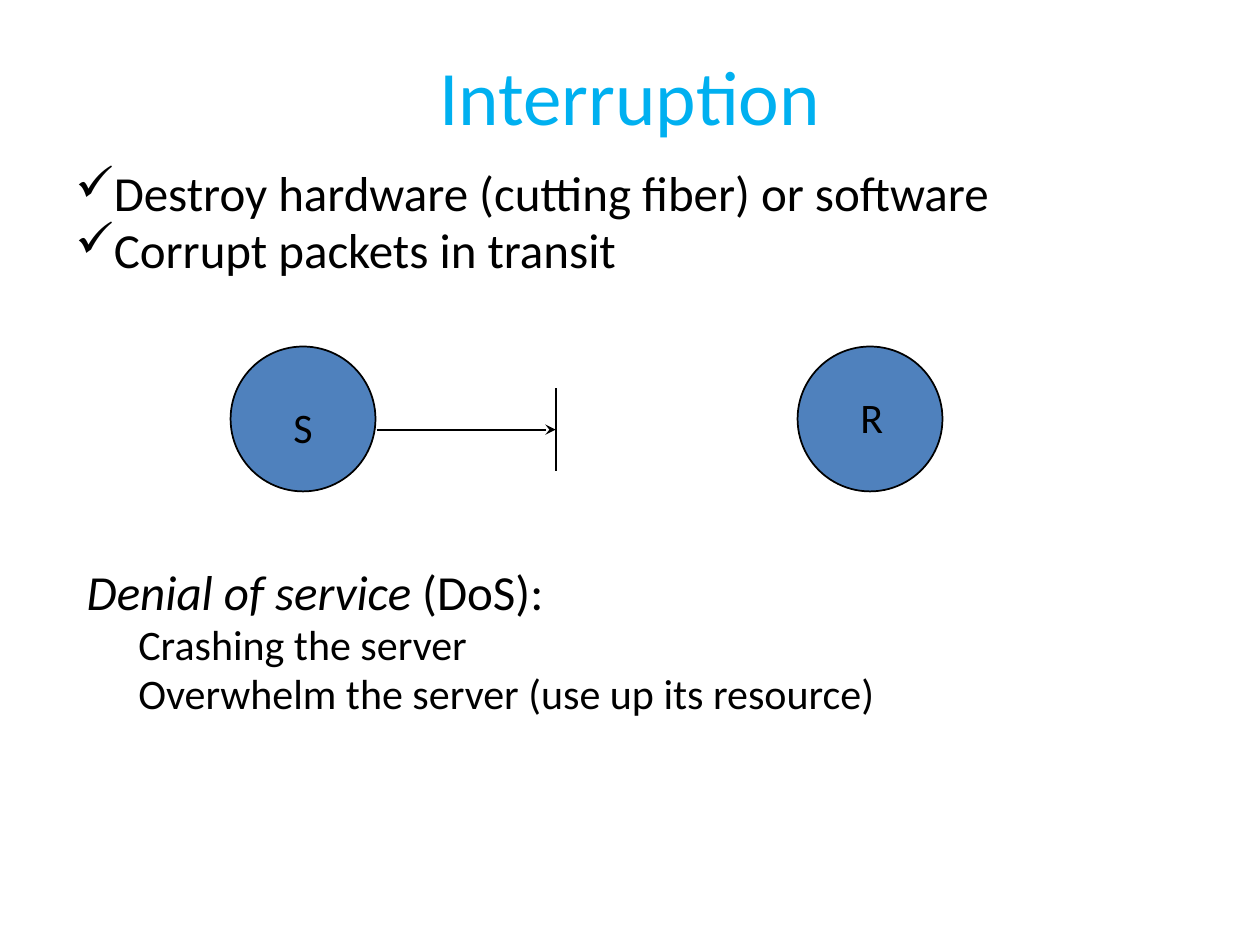
from dataclasses import dataclass

from lxml.etree import SubElement
from pptx import Presentation
from pptx.dml.color import RGBColor
from pptx.enum.shapes import MSO_CONNECTOR, MSO_SHAPE
from pptx.enum.text import MSO_ANCHOR, PP_ALIGN
from pptx.oxml.ns import qn
from pptx.util import Inches, Pt

WIDTH, HEIGHT = 10, 7.5
COLORS = {"title": "00B0F0", "ink": "000000", "node": "4F81BD"}
FONT = "Calibri"
NODE_SIZE = 1.15 / WIDTH
NODE_TOP = 2.75 / HEIGHT


@dataclass(frozen=True)
class Box:
    """A rectangle given as shares of the slide's width and height."""
    left: float
    top: float
    width: float
    height: float

    def emu(self) -> tuple:
        return (Inches(self.left * WIDTH), Inches(self.top * HEIGHT),
                Inches(self.width * WIDTH), Inches(self.height * HEIGHT))


@dataclass(frozen=True)
class Node:
    left: float
    label: str
    label_box: Box


@dataclass(frozen=True)
class Line:
    start: tuple[float, float]
    end: tuple[float, float]
    arrow: bool = False


@dataclass(frozen=True)
class Entry:
    """A paragraph whose runs are (text, italic) pairs; margin is in inches."""
    runs: tuple[tuple[str, bool], ...]
    size: int = 28
    margin: float = 0
    bullet: str = ""


TITLE_BOX = Box(0.075, 0.25 / HEIGHT, 0.85, 1 / HEIGHT)
METHODS_BOX = Box(0.05, 1.33 / HEIGHT, 0.883, 1.1 / HEIGHT)
DENIAL_BOX = Box(0.05, 4.5 / HEIGHT, 0.883, 1.5 / HEIGHT)

METHODS = [
    Entry(((text, False),), margin=0.3, bullet="✓")
    for text in ("Destroy hardware (cutting fiber) or software",
                 "Corrupt packets in transit")
]
DENIAL = [
    Entry((("Denial of service", True), (" (DoS):", False)), margin=0.09),
    Entry((("Crashing the server", False),), size=24, margin=0.5),
    Entry((("Overwhelm the server (use up its resource)", False),), size=24, margin=0.5),
]
NODES = [
    Node(0.183, "S", Box(0.223, 3.14 / HEIGHT, 0.039, 0.5 / HEIGHT)),
    Node(0.633, "R", Box(0.673, 3.06 / HEIGHT, 0.042, 0.5 / HEIGHT)),
]
LINES = [
    Line((0.299, 3.41 / HEIGHT), (0.441, 3.41 / HEIGHT), arrow=True),
    Line((0.441, 3.08 / HEIGHT), (0.441, 3.74 / HEIGHT)),
]


def rgb(name: str) -> RGBColor:
    return RGBColor.from_string(COLORS[name])


def add_run(paragraph, text: str, size: int, color: str = "ink", italic: bool = False) -> None:
    run = paragraph.add_run()
    run.text = text
    for name, value in {"name": FONT, "size": Pt(size), "italic": italic}.items():
        setattr(run.font, name, value)
    run.font.color.rgb = rgb(color)


def add_text_box(slide, box: Box, wrap: bool = True):
    shape = slide.shapes.add_textbox(*box.emu())
    shape.text_frame.word_wrap = wrap
    return shape


def add_title(slide, text: str) -> None:
    frame = add_text_box(slide, TITLE_BOX).text_frame
    frame.vertical_anchor = MSO_ANCHOR.MIDDLE
    paragraph = frame.paragraphs[0]
    paragraph.alignment = PP_ALIGN.CENTER
    add_run(paragraph, text, 44, "title")


def add_entries(slide, box: Box, entries: list[Entry]) -> None:
    frame = add_text_box(slide, box).text_frame
    for index, entry in enumerate(entries):
        paragraph = frame.add_paragraph() if index else frame.paragraphs[0]
        paragraph.line_spacing = 0.8
        paragraph.space_before = Pt(0.2 * entry.size)
        properties = paragraph._p.get_or_add_pPr()
        properties.set("marL", str(Inches(entry.margin)))
        if entry.bullet:
            properties.set("indent", str(-Inches(entry.margin)))
            SubElement(properties, qn("a:buChar"), char=entry.bullet)
        for text, italic in entry.runs:
            add_run(paragraph, text, entry.size, italic=italic)


def fill_node_color(shape) -> None:
    shape.fill.solid()
    shape.fill.fore_color.rgb = rgb("node")


def add_node(slide, node: Node) -> None:
    box = Box(node.left, NODE_TOP, NODE_SIZE, NODE_SIZE * WIDTH / HEIGHT)
    circle = slide.shapes.add_shape(MSO_SHAPE.OVAL, *box.emu())
    circle.shadow.inherit = False
    fill_node_color(circle)
    circle.line.color.rgb = rgb("ink")
    circle.line.width = Pt(1)

    label = add_text_box(slide, node.label_box, wrap=False)
    fill_node_color(label)
    add_run(label.text_frame.paragraphs[0], node.label, 24)


def add_line(slide, line: Line) -> None:
    ends = [Inches(share * length)
            for point in (line.start, line.end)
            for share, length in zip(point, (WIDTH, HEIGHT))]
    connector = slide.shapes.add_connector(MSO_CONNECTOR.STRAIGHT, *ends)
    connector.line.color.rgb = rgb("ink")
    connector.line.width = Pt(1)
    if line.arrow:
        SubElement(connector.line._get_or_add_ln(), qn("a:tailEnd"), type="stealth")
    SubElement(connector._element.spPr, qn("a:effectLst"))


def main() -> None:
    presentation = Presentation()
    presentation.slide_width = Inches(WIDTH)
    presentation.slide_height = Inches(HEIGHT)
    slide = presentation.slides.add_slide(presentation.slide_layouts[6])
    add_title(slide, "Interruption")
    add_entries(slide, METHODS_BOX, METHODS)
    add_entries(slide, DENIAL_BOX, DENIAL)
    for node in NODES:
        add_node(slide, node)
    for line in LINES:
        add_line(slide, line)
    presentation.save("out.pptx")


if __name__ == "__main__":
    main()
